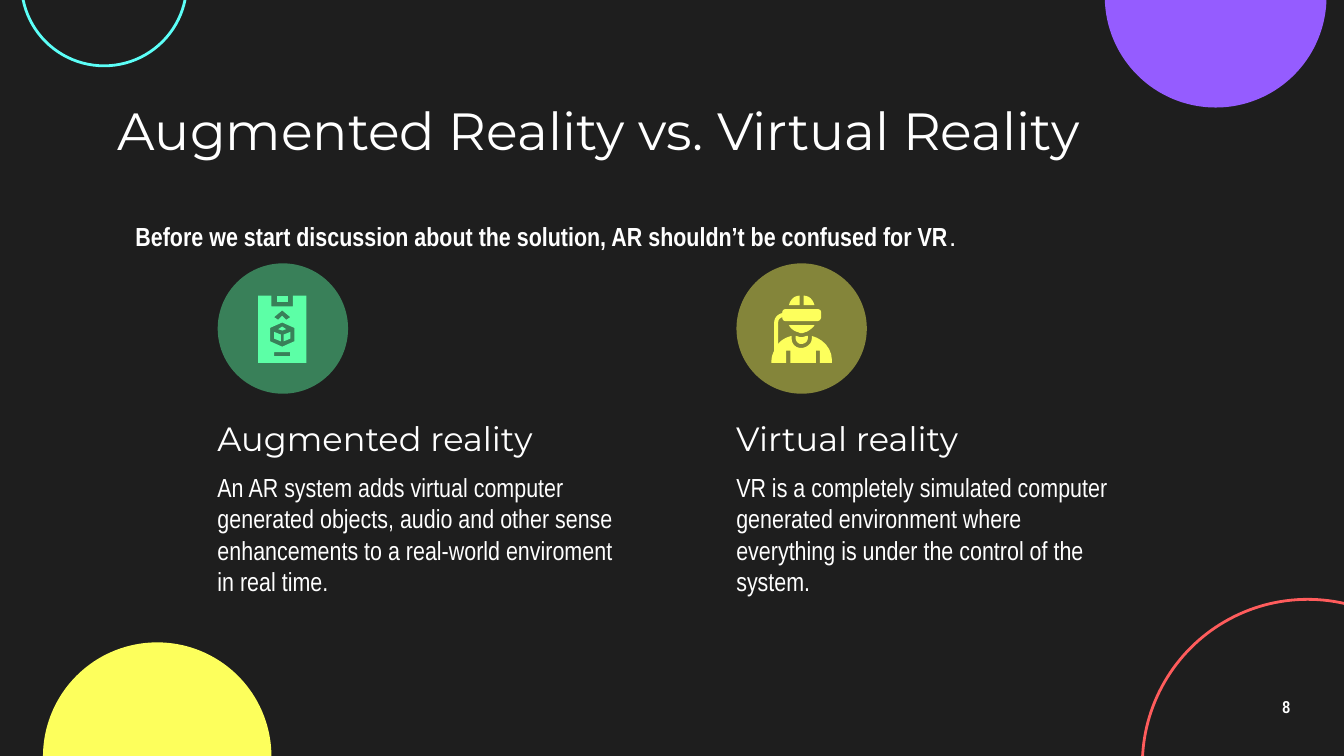
from dataclasses import dataclass
from typing import Optional

from lxml.etree import SubElement
from pptx import Presentation
from pptx.dml.color import RGBColor
from pptx.enum.shapes import MSO_SHAPE as SHAPE
from pptx.enum.text import MSO_ANCHOR as ANCHOR, PP_ALIGN as ALIGN
from pptx.oxml.ns import qn
from pptx.util import Inches, Pt

WHITE, DARK, YELLOW, MINT = "FFFFFF", "1E1E1E", "FDFF5C", "5CFFA6"
HEADING, BODY = "Montserrat", "Arial Narrow"
CURVE_STEPS = 6


@dataclass
class Circle:
    x: float
    y: float
    size: float
    fill: Optional[str] = None
    line: Optional[str] = None
    alpha: int = 100


@dataclass
class Run:
    text: str
    size: float
    font: str = BODY
    bold: bool = False


@dataclass
class Label:
    x: float
    y: float
    w: float
    h: float
    runs: list[Run]
    anchor: ANCHOR = ANCHOR.MIDDLE
    pad: float = 0.1
    align: ALIGN = ALIGN.LEFT
    spacing: float = 1.0


@dataclass
class Topic:
    x: float
    heading: str
    body: str
    body_w: float
    color: str
    alpha: int
    icon: list[str]


HEADSET = [
    "M 585 230 C 583 230 582 231 582 233 C 578 234 576 237 576 240 L 576 261 "
    "C 575 263 574 266 574 268 L 574 270 L 585 270 L 585 261 L 588 261 L 588 270 "
    "L 607 270 L 607 261 L 610 261 L 610 270 L 619 270 L 619 268 "
    "C 619 259 612 252 604 250 L 604 252 C 604 256 600 259 596 259 "
    "C 592 259 589 256 589 252 L 589 250 C 585 251 581 253 579 256 L 579 240 "
    "C 579 238 580 237 582 236 C 582 238 583 239 585 239 L 608 239 "
    "C 610 239 611 237 611 236 L 611 233 C 611 231 610 230 608 230 Z",
    "M 592 250 L 592 252 C 592 254 594 256 596 256 C 599 256 601 254 601 252 "
    "L 601 250 C 599 250 598 251 596 251 C 595 251 593 250 592 250 Z",
    "M 595 220 C 591 220 588 223 587 227 L 595 227 Z",
    "M 598 220 L 598 227 L 606 227 C 605 223 602 220 598 220 Z",
    "M 587 242 C 588 244 590 246 593 247 C 594 247 595 248 596 248 "
    "C 598 248 599 247 600 247 C 602 246 605 244 606 242 Z",
]
MARKER = [
    "M 204 247 L 204 252 L 209 254 L 209 249 Z",
    "M 206 220 L 206 225 L 214 225 L 214 220 Z",
    "M 216 247 L 211 249 L 211 254 L 216 252 Z",
    "M 210 243 L 207 245 L 210 246 L 213 245 Z",
    "M 210 231 L 216 236 L 213 238 L 210 235 L 207 238 L 204 236 Z "
    "M 210 240 L 219 244 L 219 254 L 210 258 L 201 254 L 201 244 Z "
    "M 216 262 L 216 265 L 204 265 L 204 262 Z "
    "M 192 220 L 192 270 L 228 270 L 228 220 L 218 220 L 218 228 L 202 228 L 202 220 Z",
]

DECOR = [
    Circle(8.22, -0.85, 1.65, fill="955CFF"),
    Circle(8.5, 4.46, 2.46, line="FF5C5C"),
    Circle(0.16, -0.74, 1.23, line="5CFFF8"),
    Circle(0.32, 4.78, 1.7, fill=YELLOW),
]
TOPICS = [
    Topic(1.52, "Augmented reality",
          "An AR system adds virtual computer generated objects, audio and other "
          "sense enhancements to a real-world enviroment in real time.",
          3.24, MINT, 44, MARKER),
    Topic(5.38, "Virtual reality",
          "VR is a completely simulated computer generated environment where "
          "everything is under the control of the system.",
          3.09, YELLOW, 46, HEADSET),
]
LABELS = [
    Label(0.78, 0.71, 8.44, 0.51,
          [Run("Augmented Reality vs. Virtual Reality", 28, HEADING)]),
    Label(0.91, 1.59, 6.57, 0.34,
          [Run("Before we start discussion about the solution, "
               "AR shouldn’t be confused for VR", 14, bold=True),
           Run(".", 14, "Arial")],
          anchor=ANCHOR.TOP, pad=0.05),
    Label(9.27, 5.1, 0.6, 0.34, [Run("8", 9.2, bold=True)],
          align=ALIGN.CENTER, spacing=0.9),
]


def paint(fmt, color: str) -> None:
    fmt.solid()
    fmt.fore_color.rgb = RGBColor.from_string(color)


def add_circle(shapes, c: Circle) -> None:
    sp = shapes.add_shape(SHAPE.OVAL, *map(Inches, (c.x, c.y, c.size, c.size)))
    sp.shadow.inherit = False
    if c.fill:
        paint(sp.fill, c.fill)
        if c.alpha < 100:
            clr = next(sp._element.spPr.iter(qn("a:srgbClr")))
            SubElement(clr, qn("a:alpha")).set("val", str(c.alpha * 1000))
    else:
        sp.fill.background()
    if c.line:
        paint(sp.line.fill, c.line)
        sp.line.width = Pt(1.5)
    else:
        sp.line.fill.background()


def add_label(shapes, label: Label) -> None:
    tf = shapes.add_textbox(
        *map(Inches, (label.x, label.y, label.w, label.h))).text_frame
    frame = {"word_wrap": True, "vertical_anchor": label.anchor,
             "margin_left": Inches(0.1), "margin_right": Inches(0.1),
             "margin_top": Inches(label.pad), "margin_bottom": Inches(label.pad)}
    for key, value in frame.items():
        setattr(tf, key, value)
    p = tf.paragraphs[0]
    p.alignment, p.line_spacing = label.align, label.spacing
    for run in label.runs:
        r = p.add_run()
        r.text = run.text
        font = {"size": Pt(run.size), "name": run.font, "bold": run.bold}
        for key, value in font.items():
            setattr(r.font, key, value)
        paint(r.font.fill, WHITE)


def outline(contour: str) -> list[tuple[int, int]]:
    points = []
    for segment in contour.replace("L", "|L").replace("C", "|C").split("|"):
        kind, *numbers = segment.split()
        values = [Inches(int(n) / 100) for n in numbers]
        pairs = list(zip(values[::2], values[1::2]))
        if kind != "C":
            points += pairs
            continue
        curve = [points[-1], *pairs]
        for step in range(1, CURVE_STEPS + 1):
            t = step / CURVE_STEPS
            weights = ((1 - t) ** 3, 3 * t * (1 - t) ** 2, 3 * t * t * (1 - t), t ** 3)
            points.append(tuple(round(sum(w * pt[axis] for w, pt in zip(weights, curve)))
                                for axis in (0, 1)))
    return points


def add_icon(shapes, parts: list[str], color: str) -> None:
    group = shapes.add_group_shape()
    for part in parts:
        contours = [outline(c) for c in part.split("Z") if c.strip()]
        builder = group.shapes.build_freeform(*contours[0][0], scale=1.0)
        for i, points in enumerate(contours):
            if i:
                builder.move_to(*points[0])
            builder.add_line_segments(points[1:], close=True)
        sp = builder.convert_to_shape()
        sp.shadow.inherit = False
        paint(sp.fill, color)
        sp.line.fill.background()


def add_topic(shapes, t: Topic) -> None:
    add_circle(shapes, Circle(t.x + 0.1, 1.96, 0.97, fill=t.color, alpha=t.alpha))
    add_icon(shapes, t.icon, t.color)
    add_label(shapes, Label(t.x, 3.01, 3.24, 0.5, [Run(t.heading, 18, HEADING)]))
    add_label(shapes, Label(t.x, 3.51, t.body_w, 0.93, [Run(t.body, 14)]))


prs = Presentation()
prs.slide_width = Inches(10)
prs.slide_height = Inches(10 * 9 / 16)
s = prs.slides.add_slide(prs.slide_layouts[6])
paint(s.background.fill, DARK)
for draw, items in ((add_circle, DECOR), (add_topic, TOPICS), (add_label, LABELS)):
    for item in items:
        draw(s.shapes, item)
prs.save("out.pptx")
